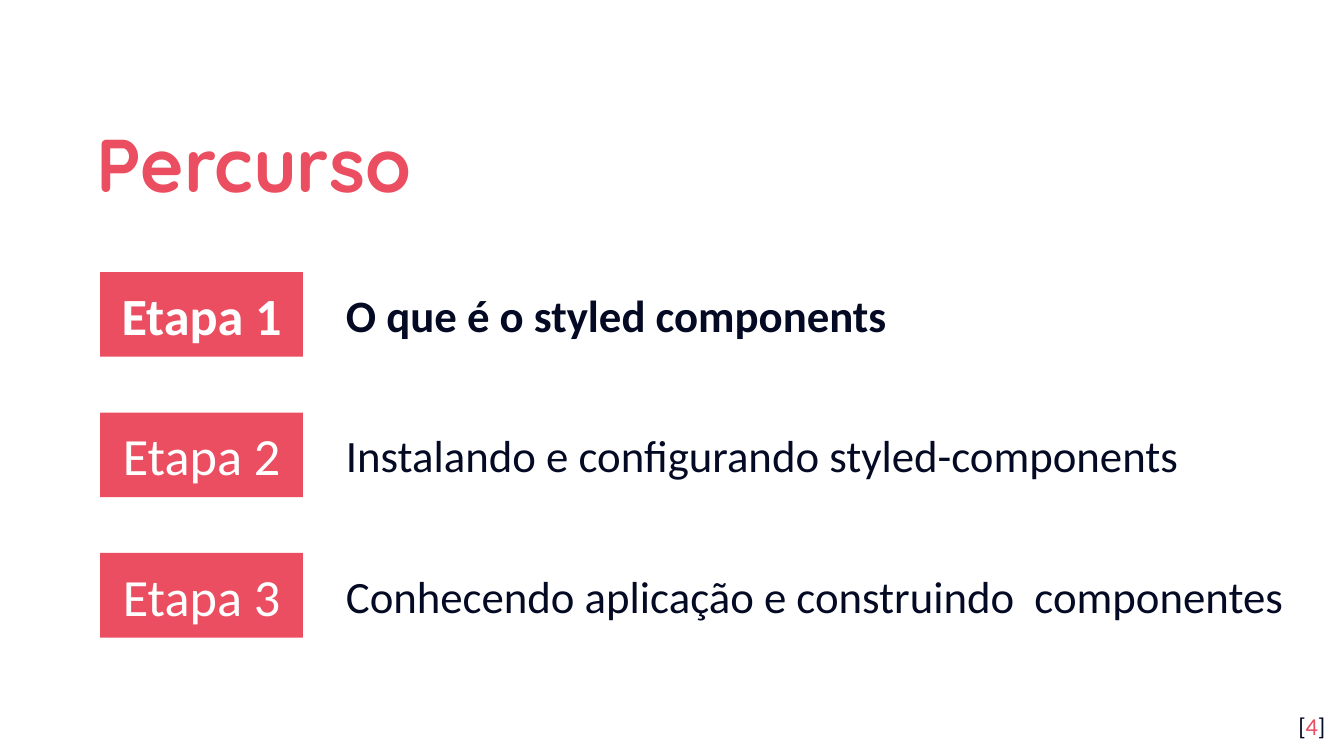
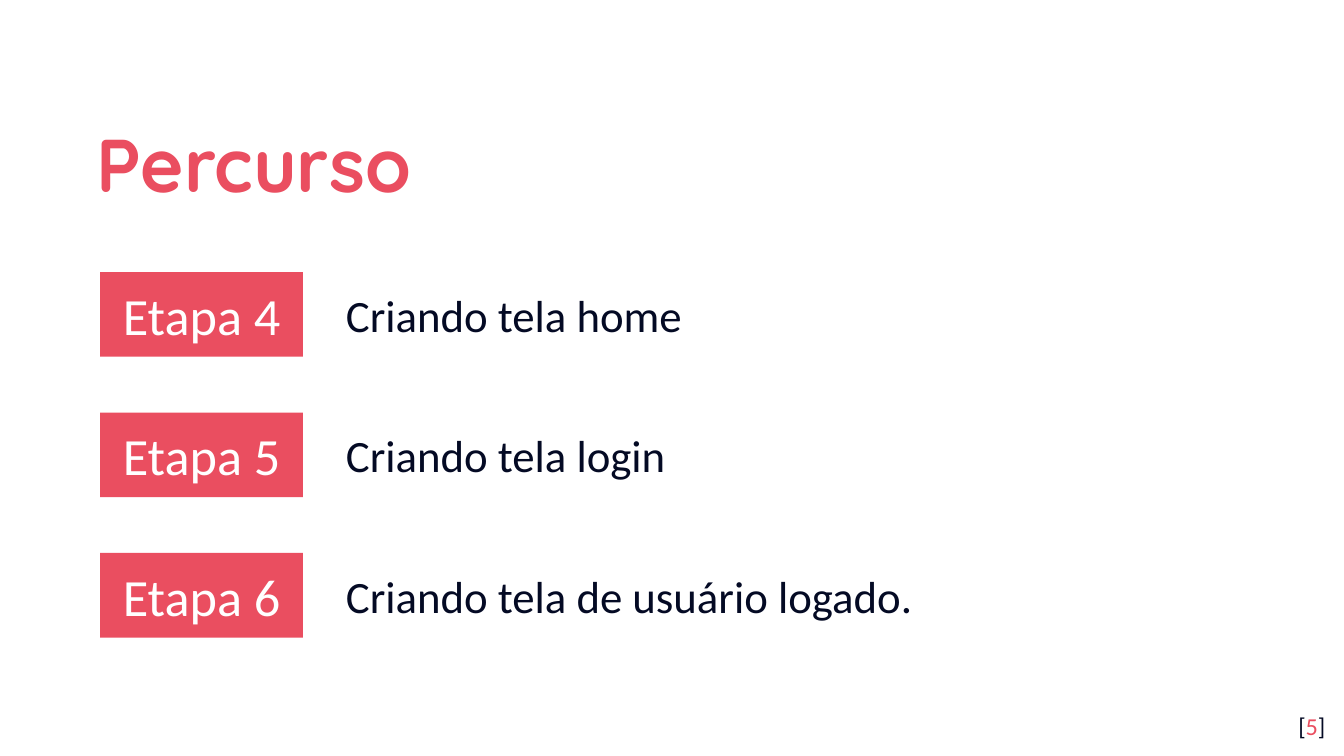
from dataclasses import dataclass

from pptx import Presentation
from pptx.dml.color import RGBColor
from pptx.enum.shapes import MSO_SHAPE as Preset
from pptx.enum.text import MSO_ANCHOR as Anchor, PP_ALIGN as Align
from pptx.shapes.autoshape import Shape
from pptx.slide import Slide
from pptx.util import Emu, Pt

PX = 4572
CORAL, NAVY, WHITE = "EA4E60", "040A24", "FFFFFF"
TITLE_FONT, BODY_FONT = "Quicksand", "Calibri"
FIRST_TOP, PITCH = 405, 209
LABEL_DROP, HANGING = 13, 100


@dataclass(frozen=True)
class Style:
    size: int
    color: str
    font: str = BODY_FONT
    bold: bool = False
    align: Align = Align.LEFT
    anchor: Anchor = Anchor.TOP
    inset: int = 20


@dataclass(frozen=True)
class Step:
    label: str
    width: int = 1350
    height: int = 100
    bold: bool = False


@dataclass(frozen=True)
class Agenda:
    number: int
    first_step: int
    steps: tuple[Step, ...]


AGENDAS = (
    Agenda(4, 1, (
        Step("O que é o styled components", bold=True),
        Step("Instalando e configurando styled-components", height=124),
        Step("Conhecendo aplicação e construindo  componentes", 1470, 212),
    )),
    Agenda(5, 4, (
        Step("Criando tela home"),
        Step("Criando tela login"),
        Step("Criando tela de usuário logado.", 1230, 212),
    )),
)


def px(length: int) -> Emu:
    return Emu(length * PX)


def rgb(value: str) -> RGBColor:
    return RGBColor.from_string(value)


def write(box: Shape, text: str, style: Style):
    frame = box.text_frame
    frame.word_wrap = True
    frame.vertical_anchor = style.anchor
    frame.margin_left = frame.margin_right = px(20)
    frame.margin_top = frame.margin_bottom = px(style.inset)
    para = frame.paragraphs[0]
    para.alignment = style.align
    para.font.name = style.font
    para.font.size = Pt(style.size)
    para.font.bold = style.bold
    para.font.color.rgb = rgb(style.color)
    if text:
        para.add_run().text = text
    return para


def add_text(page: Slide, left: int, top: int, width: int, height: int,
             text: str, style: Style):
    box = page.shapes.add_textbox(px(left), px(top), px(width), px(height))
    return write(box, text, style)


def add_title(page: Slide, text: str) -> None:
    style = Style(40, CORAL, TITLE_FONT, bold=True, anchor=Anchor.MIDDLE)
    add_text(page, 124, 140, 1620, 184, text, style).line_spacing = 1.15


def add_step(page: Slide, index: int, number: int, step: Step) -> None:
    top = FIRST_TOP + index * PITCH
    badge = page.shapes.add_shape(Preset.RECTANGLE, px(149), px(top), px(302), px(126))
    badge.shadow.inherit = False
    badge.fill.solid()
    badge.fill.fore_color.rgb = rgb(CORAL)
    badge.line.fill.background()
    write(badge, f"Etapa {number}",
          Style(28, WHITE, bold=step.bold, align=Align.CENTER, anchor=Anchor.MIDDLE))
    para = add_text(page, 495, top + LABEL_DROP, step.width, step.height, step.label,
                    Style(24, NAVY, bold=step.bold, inset=10))
    if index:
        properties = para._p.get_or_add_pPr()
        properties.set("marL", str(px(HANGING)))
        properties.set("indent", str(px(-HANGING)))


def add_page_number(page: Slide, number: int) -> None:
    para = add_text(page, 1872, 1039, 120, 86, "", Style(13, NAVY, align=Align.RIGHT))
    for text, color in (("[", NAVY), (str(number), CORAL), ("]", NAVY)):
        span = para.add_run()
        span.text = text
        span.font.color.rgb = rgb(color)


def add_agenda(deck, agenda: Agenda) -> None:
    page = deck.slides.add_slide(deck.slide_layouts[6])
    add_title(page, "Percurso")
    for index, step in enumerate(agenda.steps):
        add_step(page, index, agenda.first_step + index, step)
    add_page_number(page, agenda.number)


def main() -> None:
    deck = Presentation()
    deck.slide_width, deck.slide_height = px(2000), px(1125)
    for agenda in AGENDAS:
        add_agenda(deck, agenda)
    deck.save("out.pptx")


if __name__ == "__main__":
    main()
